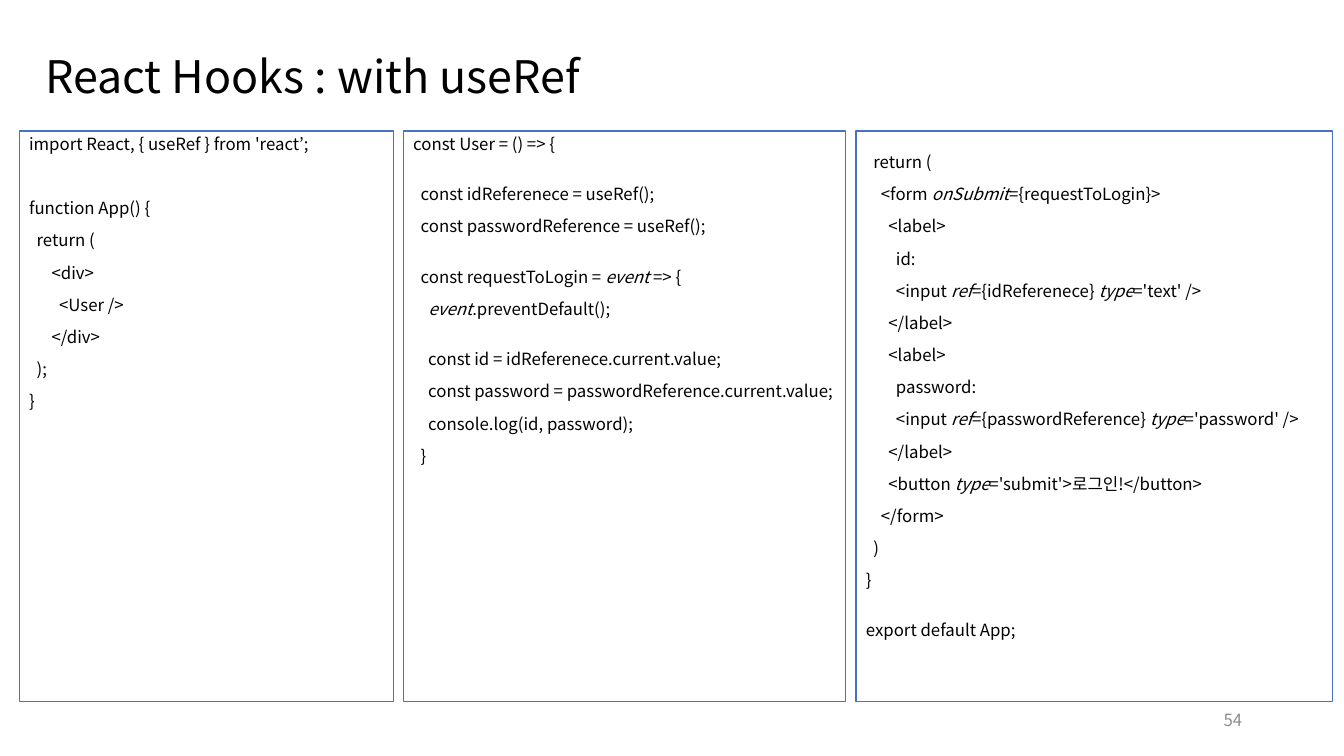
import pptx
import pptx.util
import pptx.dml.color
import pptx.enum.shapes
import pptx.enum.text
import pptx.oxml
import pptx.oxml.ns
from pptx.util import Inches

FONT = "Noto Sans CJK KR"
COLOURS = {"text": "000000", "number": "8C8C8C", "border": "4472C4"}
ALIGN = pptx.enum.text.PP_ALIGN
ANCHOR = pptx.enum.text.MSO_ANCHOR

# In the listings, *word* is italic and a blank line widens the space above the next line.
APP_CODE = """\
import React, { useRef } from 'react’;

function App() {
  return (
      <div>
        <User />
      </div>
  );
}"""

USER_CODE = """\
const User = () => {

  const idReferenece = useRef();
  const passwordReference = useRef();

  const requestToLogin = *event* => {
    *event*.preventDefault();

    const id = idReferenece.current.value;
    const password = passwordReference.current.value;
    console.log(id, password);
  }"""

FORM_CODE = """\
  return (
    <form *onSubmit*={requestToLogin}>
      <label>
        id:
        <input *ref*={idReferenece} *type*='text' />
      </label>
      <label>
        password:
        <input *ref*={passwordReference} *type*='password' />
      </label>
      <button *type*='submit'>로그인!</button>
    </form>
  )
}

export default App;"""

# left, width, top inset, points above a line that follows a blank one, code
PANELS = [
    (0.19, 3.71, 0.05, 33, APP_CODE),
    (4, 4.39, 0.05, 23, USER_CODE),
    (8.49, 4.73, 0.23, 23, FORM_CODE),
]


def rgb(name):
    return pptx.dml.color.RGBColor.from_string(COLOURS[name])


def set_all(target, **values):
    for name, value in values.items():
        setattr(target, name, value)


def add_span(para, text, size, colour, italic=False):
    span = para.add_run()
    span.text = text
    set_all(span.font, name=FONT, size=pptx.util.Pt(size), italic=italic)
    span.font.color.rgb = rgb(colour)
    east_asian = pptx.oxml.parse_xml(
        f'<a:ea {pptx.oxml.ns.nsdecls("a")} typeface="{FONT}"/>')
    span.font._element.append(east_asian)


def add_line_of_text(page, place, text, size, colour, align):
    box = page.shapes.add_textbox(*map(Inches, place))
    set_all(box.text_frame, word_wrap=True, vertical_anchor=ANCHOR.MIDDLE)
    para = box.text_frame.paragraphs[0]
    set_all(para, alignment=align, line_spacing=0.9)
    add_span(para, text, size, colour)


def add_code_panel(page, left, width, top_inset, gap, code):
    panel = page.shapes.add_shape(
        pptx.enum.shapes.MSO_SHAPE.RECTANGLE,
        Inches(left), Inches(1.3), Inches(width), Inches(5.66))
    panel.shadow.inherit = False
    panel.fill.background()
    panel.line.color.rgb = rgb("border")
    panel.line.width = pptx.util.Pt(0.75)
    frame = panel.text_frame
    set_all(frame, word_wrap=True, vertical_anchor=ANCHOR.TOP,
            margin_top=Inches(top_inset))
    space = 0
    para = frame.paragraphs[0]
    for index, line in enumerate(code.splitlines()):
        if not line:
            space = gap
            continue
        if index:
            para = frame.add_paragraph()
        set_all(para, alignment=ALIGN.LEFT, line_spacing=0.9,
                space_before=pptx.util.Pt(space))
        for position, text in enumerate(line.split("*")):
            if text:
                add_span(para, text, 12, "text", italic=position % 2 == 1)
        space = 10


def main():
    deck = pptx.Presentation()
    set_all(deck, slide_width=Inches(13.33), slide_height=Inches(7.5))
    page = deck.slides.add_slide(deck.slide_layouts[6])
    add_line_of_text(page, (0.35, 0.4, 12.66, 0.77),
                     "React Hooks : with useRef", 32, "text", ALIGN.LEFT)
    add_line_of_text(page, (9.42, 6.95, 3, 0.4), "54", 12, "number", ALIGN.RIGHT)
    for panel in PANELS:
        add_code_panel(page, *panel)
    deck.save("out.pptx")


if __name__ == "__main__":
    main()
